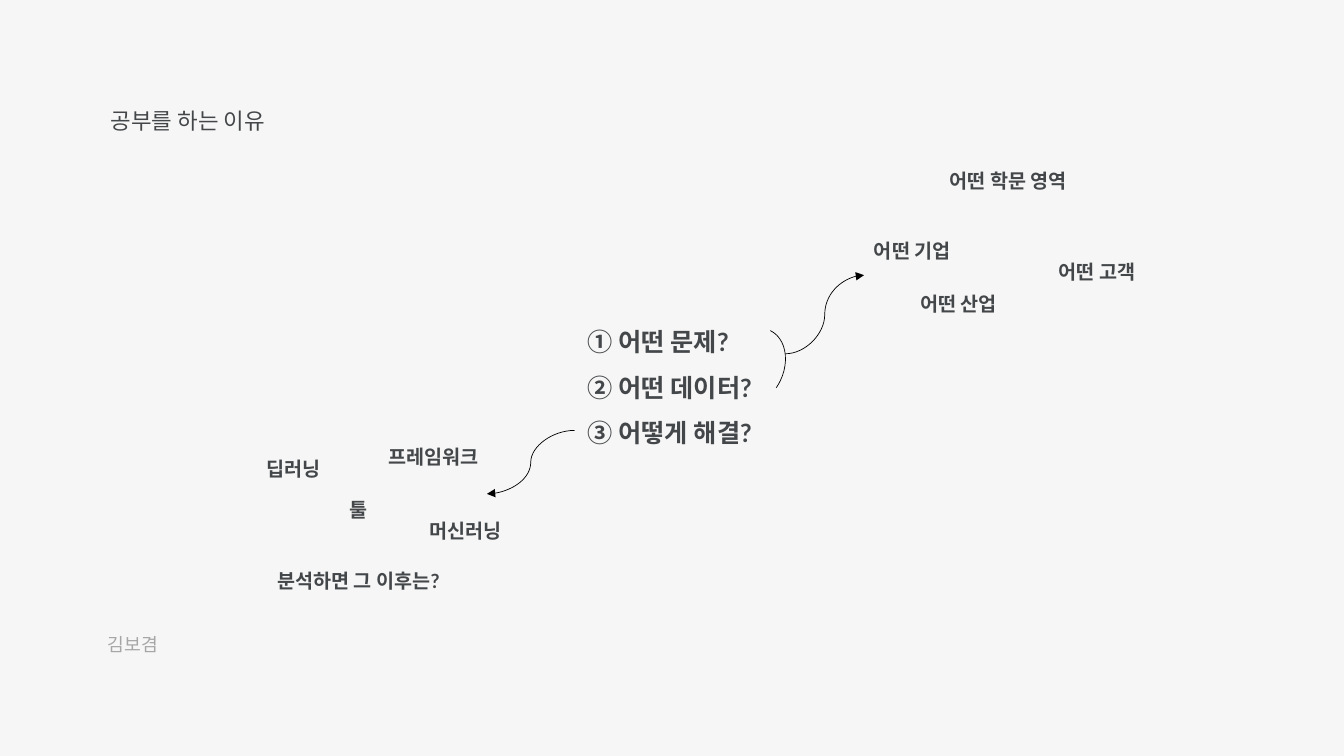
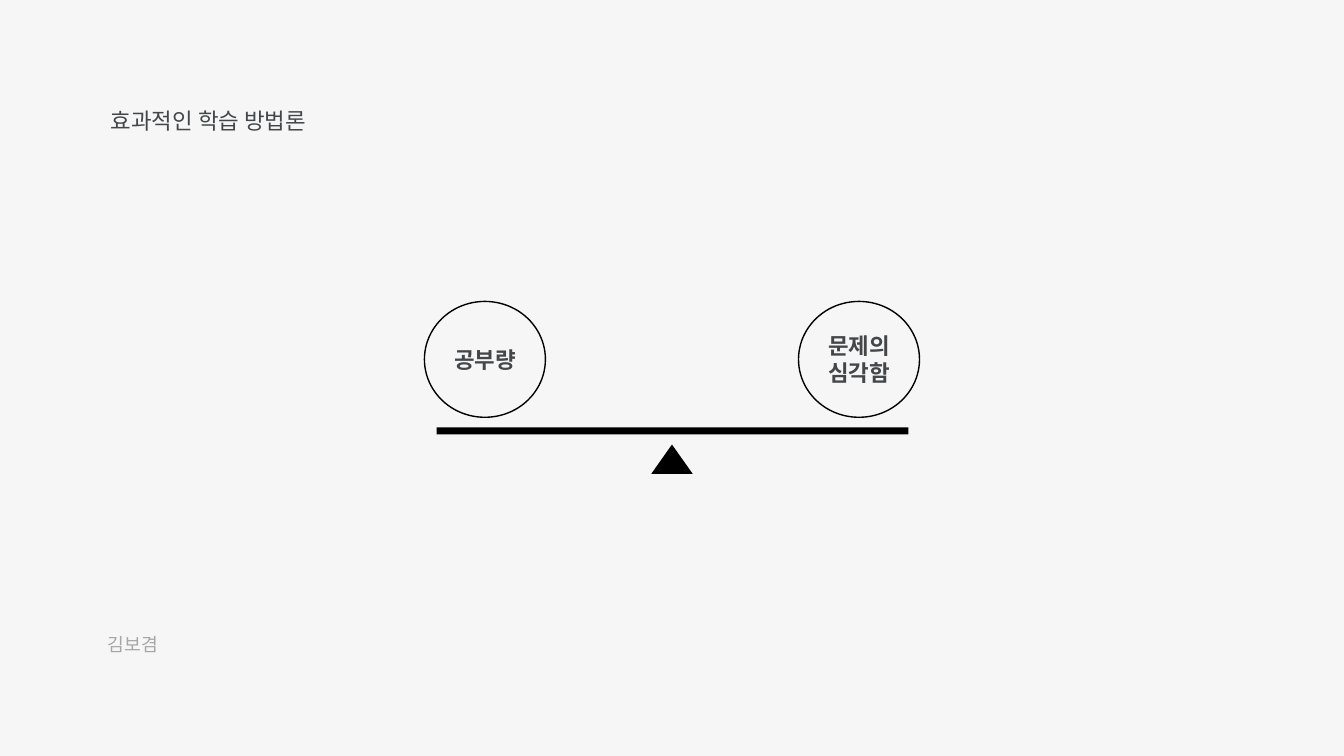
from dataclasses import dataclass

from lxml import etree
from pptx import Presentation
from pptx.dml.color import RGBColor
from pptx.enum.shapes import MSO_CONNECTOR as Connector, MSO_SHAPE as Shape
from pptx.enum.text import MSO_ANCHOR as Anchor, MSO_AUTO_SIZE as AutoSize, PP_ALIGN as Align
from pptx.oxml.ns import qn
from pptx.util import Inches, Pt


@dataclass(frozen=True)
class Theme:
    font = "Lato"
    background = RGBColor(0xF6, 0xF6, 0xF6)
    ink = RGBColor(0x44, 0x47, 0x4A)
    muted = RGBColor(0xA6, 0xA6, 0xA6)
    black = RGBColor(0, 0, 0)
    question_size = Pt(18)
    title_size = Pt(16)
    label_size = Pt(14)
    footer_size = Pt(13)
    thin_line = Pt(0.5)
    circle_line = Pt(1)


theme = Theme()


def write_text(shape, text, size, color=theme.ink, bold=False, spacing=1.0,
               wrap=True, align=Align.LEFT, anchor=Anchor.TOP, auto_size=AutoSize.SHAPE_TO_FIT_TEXT):
    """Fill a shape with one paragraph per line of text."""
    frame = shape.text_frame
    frame.text = text
    frame.word_wrap = wrap
    frame.auto_size = auto_size
    frame.vertical_anchor = anchor
    frame.margin_left = frame.margin_right = Inches(0.1)
    frame.margin_top = frame.margin_bottom = Inches(0.05)
    for paragraph in frame.paragraphs:
        paragraph.alignment = align
        paragraph.line_spacing = spacing
        paragraph.space_before = Pt(0)
        for run in paragraph.runs:
            run.font.name = theme.font
            run.font.size = size
            run.font.bold = bold
            run.font.color.rgb = color


def add_figure(slide, kind, left, top, width, height, fill=None, line=None):
    """Add a flat preset shape, either filled or outlined."""
    shape = slide.shapes.add_shape(kind, Inches(left), Inches(top), Inches(width), Inches(height))
    shape.shadow.inherit = False
    if fill is None:
        shape.fill.background()
    else:
        shape.fill.solid()
        shape.fill.fore_color.rgb = fill
    if line is None:
        shape.line.fill.background()
    else:
        shape.line.color.rgb = theme.black
        shape.line.width = line
    return shape


presentation = Presentation()
presentation.slide_width = Inches(13.33)
presentation.slide_height = Inches(7.5)
master_fill = presentation.slide_master.background.fill
master_fill.solid()
master_fill.fore_color.rgb = theme.background

# Title and author on every slide
slides = []
for title_text, title_width in [("공부를 하는 이유", 2.12), ("효과적인 학습 방법론", 2.7)]:
    slide = presentation.slides.add_slide(presentation.slide_layouts[5])
    title = slide.shapes.title
    title.left, title.top = Inches(1), Inches(1.01)
    title.width, title.height = Inches(title_width), Inches(0.37)
    write_text(title, title_text, theme.title_size)
    author = slide.shapes.add_textbox(Inches(0.97), Inches(6.23), Inches(0.74), Inches(0.32))
    write_text(author, "김보겸", theme.footer_size, color=theme.muted)
    slides.append(slide)
reason_slide, method_slide = slides

# Reasons: three central questions
questions = reason_slide.shapes.add_textbox(Inches(5.73), Inches(3.04), Inches(2.48), Inches(1.42))
write_text(questions, "① 어떤 문제?\n② 어떤 데이터?\n③ 어떻게 해결?",
           theme.question_size, bold=True, spacing=1.5)

# Reasons: scattered keywords
keywords = [
    ("어떤 기업", 8.57, 2.2, 1.04),
    ("어떤 산업", 9.03, 2.73, 1.04),
    ("어떤 학문 영역", 9.32, 1.51, 1.49),
    ("어떤 고객", 10.4, 2.41, 1.04),
    ("툴", 3.37, 4.77, 0.4),
    ("머신러닝", 4.16, 4.98, 0.99),
    ("프레임워크", 3.75, 4.25, 1.18),
    ("분석하면 그 이후는?", 2.65, 5.48, 2),
    ("딥러닝", 2.54, 4.37, 0.79),
]
for text, left, top, width in keywords:
    keyword = reason_slide.shapes.add_textbox(Inches(left), Inches(top), Inches(width), Inches(0.42))
    write_text(keyword, text, theme.label_size, bold=True, spacing=1.5, wrap=False)

# Reasons: bracket around the first two questions, and curved arrows
bracket = add_figure(reason_slide, Shape.ARC, 7.16, 3.24, 0.61, 0.81, line=theme.thin_line)
bracket.adjustments[1] = 8.96
bracket.rotation = 25.7

for start_x, start_y, end_x, end_y in [(7.79, 3.51, 8.57, 2.73), (5.7, 4.27, 4.83, 4.9)]:
    arrow = reason_slide.shapes.add_connector(
        Connector.CURVE, Inches(start_x), Inches(start_y), Inches(end_x), Inches(end_y))
    arrow.line.color.rgb = theme.black
    arrow.line.width = theme.thin_line
    etree.SubElement(arrow.line._get_or_add_ln(), qn("a:tailEnd"), type="triangle")
    etree.SubElement(arrow._element.spPr, qn("a:effectLst"))

# Method: seesaw with its pivot
add_figure(method_slide, Shape.ISOSCELES_TRIANGLE, 6.46, 4.41, 0.41, 0.29, fill=theme.black)
add_figure(method_slide, Shape.RECTANGLE, 4.33, 4.24, 4.68, 0.07, fill=theme.black)

# Method: the two weights
for text, left in [("공부량", 4.21), ("문제의\n심각함", 7.92)]:
    weight = add_figure(method_slide, Shape.OVAL, left, 2.99, 1.2, 1.15, line=theme.circle_line)
    write_text(weight, text, theme.title_size, bold=True, wrap=False, align=Align.CENTER,
               anchor=Anchor.MIDDLE, auto_size=AutoSize.NONE)

presentation.save("out.pptx")
